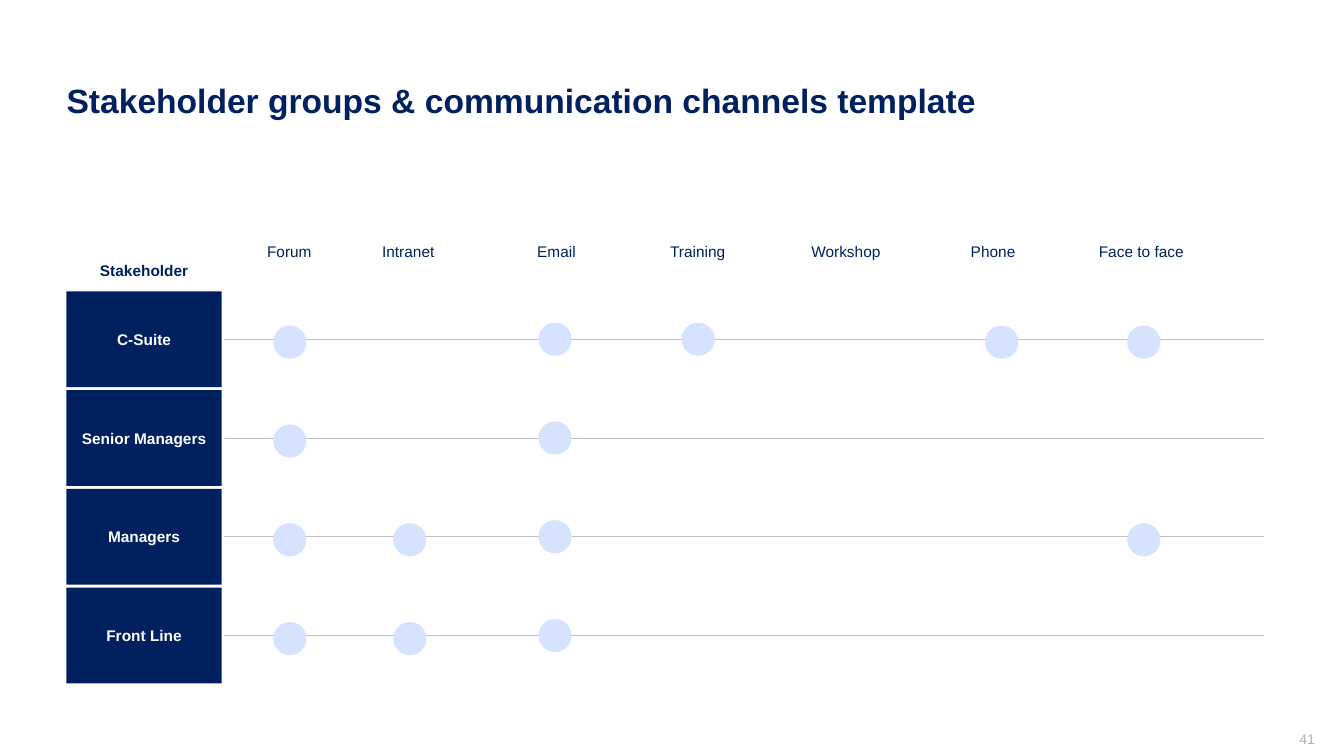
import pptx
import pptx.dml.color
import pptx.enum.shapes
import pptx.enum.text
import pptx.util
from lxml import etree

TITLE = "Stakeholder groups & communication channels template"
PAGE_NUMBER = "41"
NAVY, PALE_BLUE, WHITE = "002060", "D6E3FF", "FFFFFF"
RULE_GREY, NUMBER_GREY = "BFBFBF", "ADAFBB"

# channel: (label left, dot left, dot drop below the row line)
CHANNELS = {
    "Forum": (2.2, 2.71, 0.03),
    "Intranet": (3.38, 3.9, 0.03),
    "Email": (4.85, 5.34, 0),
    "Training": (6.25, 6.76, 0),
    "Workshop": (7.72, 8.23, 0),
    "Phone": (9.18, 9.77, 0.03),
    "Face to face": (10.65, 11.18, 0.03),
}
STAKEHOLDERS = [
    ("C-Suite", ["Forum", "Email", "Training", "Phone", "Face to face"]),
    ("Senior Managers", ["Forum", "Email"]),
    ("Managers", ["Forum", "Intranet", "Email", "Face to face"]),
    ("Front Line", ["Forum", "Intranet", "Email"]),
]

GRID_LEFT, GRID_TOP, ROW_PITCH = 0.66, 2.89, 0.98
BOX_WIDTH, BOX_HEIGHT = 1.54, 0.95
LINE_LEFT, LINE_RIGHT = 2.22, 12.54
DOT_SIZE = 0.33

ALIGN = pptx.enum.text.PP_ALIGN
ANCHOR = pptx.enum.text.MSO_ANCHOR
SHAPE = pptx.enum.shapes.MSO_SHAPE
inches = pptx.util.Inches


def colour(hex_text):
    return pptx.dml.color.RGBColor.from_string(hex_text)


def write(shape, text, size, hex_text, bold=False, align=ALIGN.CENTER,
          anchor=ANCHOR.MIDDLE, insets=(0.1, 0.05, 0.1, 0.05), wrap=True):
    """Fill a shape with one formatted run; insets go left, top, right, bottom."""
    frame = shape.text_frame
    frame.word_wrap = wrap
    frame.vertical_anchor = anchor
    (frame.margin_left, frame.margin_top,
     frame.margin_right, frame.margin_bottom) = map(inches, insets)
    para = frame.paragraphs[0]
    para.alignment = align
    span = para.add_run()
    span.text = text
    span.font.name = "Arial"
    span.font.size = pptx.util.Pt(size)
    span.font.bold = bold
    span.font.color.rgb = colour(hex_text)


def add_text(page, place, *args, **options):
    box = page.shapes.add_textbox(*map(inches, place))
    write(box, *args, **options)
    return box


def add_filled(page, preset, place, fill):
    shape = page.shapes.add_shape(preset, *map(inches, place))
    shape.shadow.inherit = False
    shape.fill.solid()
    shape.fill.fore_color.rgb = colour(fill)
    shape.line.fill.background()
    return shape


def add_rule(page, y):
    rule = page.shapes.add_connector(
        pptx.enum.shapes.MSO_CONNECTOR.STRAIGHT,
        inches(LINE_LEFT), inches(y), inches(LINE_RIGHT), inches(y))
    rule.line.color.rgb = colour(RULE_GREY)
    rule.line.width = pptx.util.Pt(0.5)
    properties = rule.element.spPr
    etree.SubElement(properties, pptx.oxml.ns.qn("a:effectLst"))


def add_stakeholder(page, row, name, used_channels):
    top = GRID_TOP + row * ROW_PITCH
    middle = top + BOX_HEIGHT / 2
    box = add_filled(page, SHAPE.RECTANGLE,
                     (GRID_LEFT, top, BOX_WIDTH, BOX_HEIGHT), NAVY)
    write(box, name, 11, WHITE, bold=True)
    add_rule(page, middle)
    for channel in used_channels:
        _, left, drop = CHANNELS[channel]
        add_filled(page, SHAPE.OVAL,
                   (left, middle - DOT_SIZE / 2 + drop, DOT_SIZE, DOT_SIZE),
                   PALE_BLUE)


def main():
    deck = pptx.Presentation()
    deck.slide_width, deck.slide_height = inches(13.33), inches(7.5)
    page = deck.slides.add_slide(deck.slide_layouts.get_by_name("Title Only"))

    title = page.shapes.title
    title.left, title.top, title.width, title.height = map(
        inches, (0.56, 0.4, 12.11, 1.19))
    write(title, TITLE, 24, NAVY, bold=True, align=ALIGN.LEFT)

    add_text(page, (10.04, 7.25, 3, 0.21), PAGE_NUMBER, 10, NUMBER_GREY,
             align=ALIGN.RIGHT, insets=(0.1, 0, 0, 0.05))
    add_text(page, (0.99, 2.59, 0.88, 0.19), "Stakeholder", 11, NAVY,
             bold=True, insets=(0, 0, 0, 0), wrap=False)
    for channel, (left, _, _) in CHANNELS.items():
        add_text(page, (left, 2.35, 1.34, 0.29), channel, 11, NAVY,
                 anchor=ANCHOR.TOP)
    for row, (name, used_channels) in enumerate(STAKEHOLDERS):
        add_stakeholder(page, row, name, used_channels)

    deck.save("out.pptx")


if __name__ == "__main__":
    main()
